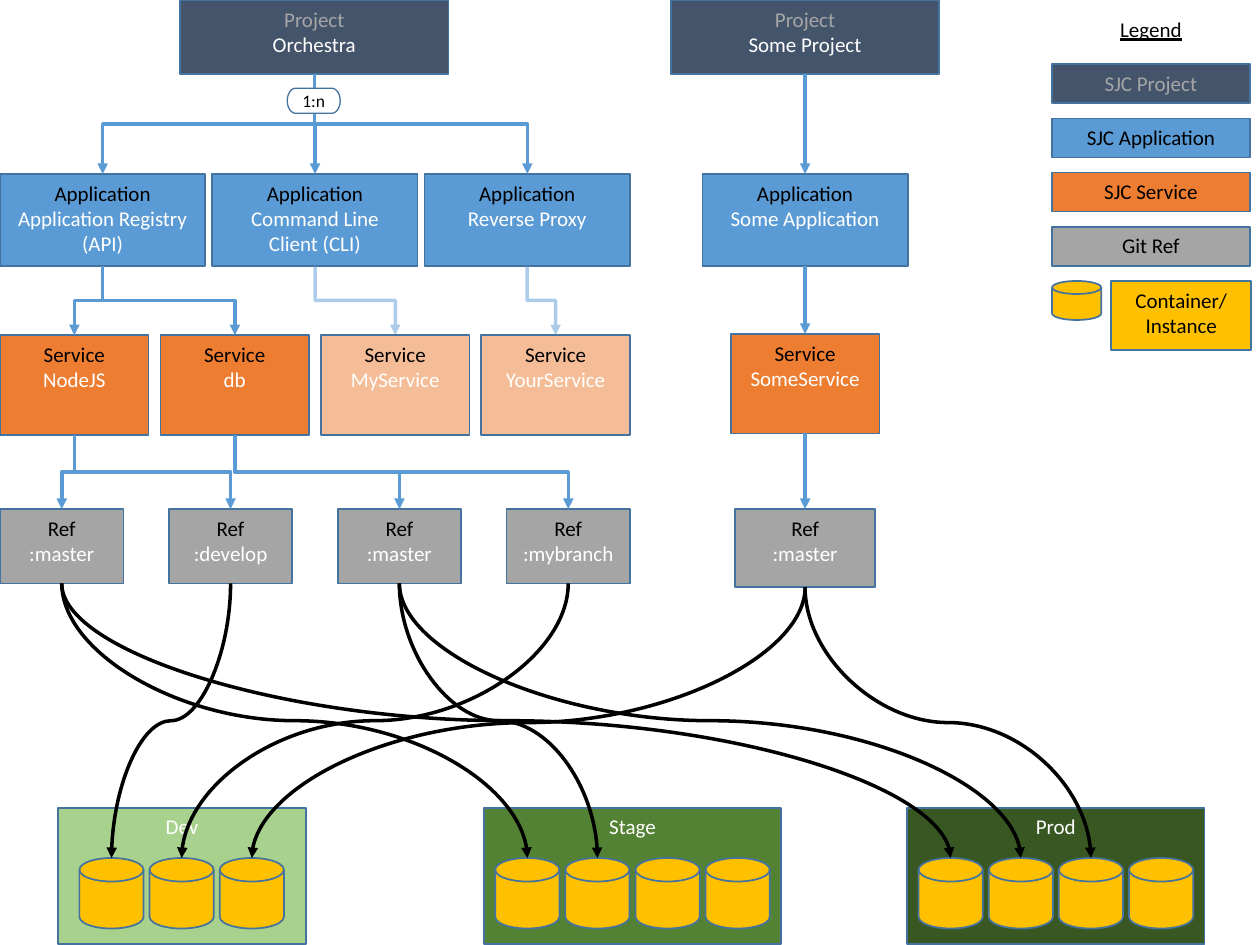
from lxml import etree
from pptx import Presentation
from pptx.dml.color import RGBColor
from pptx.enum.shapes import MSO_CONNECTOR, MSO_SHAPE
from pptx.enum.text import MSO_ANCHOR, PP_ALIGN
from pptx.oxml.ns import qn
from pptx.util import Inches, Pt

RECT, CAN, PILL = MSO_SHAPE.RECTANGLE, MSO_SHAPE.FLOWCHART_MAGNETIC_DISK, MSO_SHAPE.FLOWCHART_TERMINATOR
STRAIGHT, ELBOW, CURVE = MSO_CONNECTOR.STRAIGHT, MSO_CONNECTOR.ELBOW, MSO_CONNECTOR.CURVE
TOP, MIDDLE, CENTER = MSO_ANCHOR.TOP, MSO_ANCHOR.MIDDLE, PP_ALIGN.CENTER
RECT_BOTTOM, RECT_TOP, CAN_TOP = 2, 0, 1

THEME = {
    "font": "Calibri", "size": 12, "small": 10,
    "project": "44546A", "application": "5B9BD5", "service": "ED7D31", "ref": "A5A5A5",
    "instance": "FFC000", "dev": "A9D18E", "stage": "548235", "prod": "385723",
    "outline": "43739E", "flow": "5B9BD5", "deploy": "000000",
    "dark": "000000", "light": "FFFFFF", "muted": "A6A6A6",
}

prs = Presentation()
prs.slide_width, prs.slide_height = Inches(10), Inches(7.5)
slide = prs.slides.add_slide(prs.slide_layouts[6])
shapes = slide.shapes


def add_box(kind, place, fill, lines=(), faded=False, size="size", weight=1):
    box = shapes.add_shape(kind, *map(Inches, place))
    box.shadow.inherit = False
    box.fill.solid()
    box.fill.fore_color.rgb = RGBColor.from_string(THEME[fill])
    if faded:
        color = box.fill._xPr.find(qn("a:solidFill"))[0]
        etree.SubElement(color, qn("a:alpha")).set("val", "50000")
    box.line.color.rgb = RGBColor.from_string(THEME["outline"])
    box.line.width = Pt(weight)
    frame = box.text_frame
    frame.vertical_anchor = TOP
    for index, (words, color) in enumerate(lines):
        paragraph = frame.add_paragraph() if index else frame.paragraphs[0]
        paragraph.text = words
        paragraph.alignment = CENTER
        paragraph.font.name = THEME["font"]
        paragraph.font.size = Pt(THEME[size])
        paragraph.font.color.rgb = RGBColor.from_string(THEME[color])
    return box


def connect(kind, source, target, color, site=RECT_TOP, faded=False):
    x1, y1 = source.left + source.width // 2, source.top + source.height
    x2, y2 = target.left + target.width // 2, target.top
    arrow = shapes.add_connector(kind, x1, y1, x2, y2)
    arrow.begin_connect(source, RECT_BOTTOM)
    arrow.end_connect(target, site)
    if kind != STRAIGHT:
        run, drop = abs(x2 - x1), y2 - y1
        arrow.left, arrow.top = (x1 + x2 - drop) // 2, (y1 + y2 - run) // 2
        arrow.width, arrow.height = drop, run
        frame = arrow._element.spPr.find(qn("a:xfrm"))
        frame.attrib.pop("flipH", None)
        frame.set("rot", "5400000" if x2 < x1 else "16200000")
        if x2 >= x1:
            frame.set("flipH", "1")
    arrow.line.color.rgb = RGBColor.from_string(THEME[color])
    arrow.line.width = Pt(2)
    line = arrow.line._get_or_add_ln()
    if faded:
        etree.SubElement(line.find(qn("a:solidFill"))[0], qn("a:alpha")).set("val", "50000")
    etree.SubElement(line, qn("a:tailEnd")).set("type", "triangle")
    etree.SubElement(arrow._element.spPr, qn("a:effectLst"))


tree_width = 5
levels = [
    ("Application", "application", 1.38, 1.63, 0.73,
     ["Application Registry (API)", "Command Line Client (CLI)", "Reverse Proxy"]),
    ("Service", "service", 2.66, 1.18, 0.79, ["NodeJS", "db", "MyService", "YourService"]),
    ("Ref", "ref", 4.04, 0.98, 0.59, [":master", ":develop", ":master", ":mybranch"]),
]
planned = ("MyService", "YourService")
orchestra = add_box(RECT, (1.43, 0, 2.13, 0.59), "project",
                    [("Project", "muted"), ("Orchestra", "light")])
tree = []
for caption, fill, top, width, height, names in levels:
    pitch = (tree_width - width) / (len(names) - 1)
    tree.append([
        add_box(RECT, (i * pitch, top, width, height), fill,
                [(caption, "dark"), (name, "light")], name in planned)
        for i, name in enumerate(names)
    ])
applications, services, refs = tree

some_center = 6.39
some_chain = [
    add_box(RECT, (some_center - width / 2, top, width, height), fill,
            [(caption, color), (name, "light")])
    for caption, color, name, fill, top, width, height in [
        ("Project", "muted", "Some Project", "project", 0, 2.13, 0.59),
        ("Application", "dark", "Some Application", "application", 1.38, 1.63, 0.73),
        ("Service", "dark", "SomeService", "service", 2.65, 1.18, 0.79),
        ("Ref", "dark", ":master", "ref", 4.04, 1.11, 0.62),
    ]
]

cans = {}
can_pitch = 1.67 / 3
for name, left, width, first_can, count in [
    ("Dev", 0.46, 1.97, 0.63, 3), ("Stage", 3.84, 2.36, 3.93, 4), ("Prod", 7.2, 2.36, 7.29, 4)
]:
    add_box(RECT, (left, 6.41, width, 1.08), name.lower(), [(name, "light")])
    cans[name] = [add_box(CAN, (first_can + i * can_pitch, 6.81, 0.51, 0.56), "instance")
                  for i in range(count)]

for application in applications:
    connect(ELBOW, orchestra, application, "flow")
for parent, child in [(0, 0), (0, 1), (1, 2), (2, 3)]:
    connect(ELBOW, applications[parent], services[child], "flow", faded=child > 1)
for parent, child in [(0, 0), (0, 1), (1, 2), (1, 3)]:
    connect(ELBOW, services[parent], refs[child], "flow")
for parent, child in zip(some_chain, some_chain[1:]):
    connect(STRAIGHT, parent, child, "flow")

some_ref = some_chain[-1]
for ref, stage, slot in [
    (refs[0], "Stage", 0), (refs[2], "Stage", 1),
    (refs[1], "Dev", 0), (refs[3], "Dev", 1), (some_ref, "Dev", 2),
    (refs[0], "Prod", 0), (refs[2], "Prod", 1), (some_ref, "Prod", 2),
]:
    connect(CURVE, ref, cans[stage][slot], "deploy", CAN_TOP)

cardinality = add_box(PILL, (2.28, 0.7, 0.42, 0.2), "light", [("1:n", "dark")],
                      size="small", weight=0.75)
cardinality.text_frame.word_wrap = False
cardinality.text_frame.vertical_anchor = MIDDLE

legend_left, legend_width = 8.35, 1.57
legend = shapes.add_textbox(*map(Inches, (legend_left, 0.08, legend_width, 0.31)))
legend.text_frame.word_wrap = True
heading = legend.text_frame.paragraphs[0]
heading.text = "Legend"
heading.alignment = CENTER
heading.font.name = THEME["font"]
heading.font.size = Pt(THEME["size"])
heading.font.underline = True
heading.font.color.rgb = RGBColor.from_string(THEME["dark"])
for i, (label, fill, color) in enumerate([
    ("SJC Project", "project", "muted"), ("SJC Application", "application", "dark"),
    ("SJC Service", "service", "dark"), ("Git Ref", "ref", "dark"),
]):
    add_box(RECT, (legend_left, 0.51 + i * 0.43, legend_width, 0.31), fill, [(label, color)])
add_box(CAN, (legend_left, 2.23, 0.39, 0.31), "instance")
add_box(RECT, (8.82, 2.23, 1.11, 0.55), "instance", [("Container/\vInstance", "dark")])

prs.save("out.pptx")
